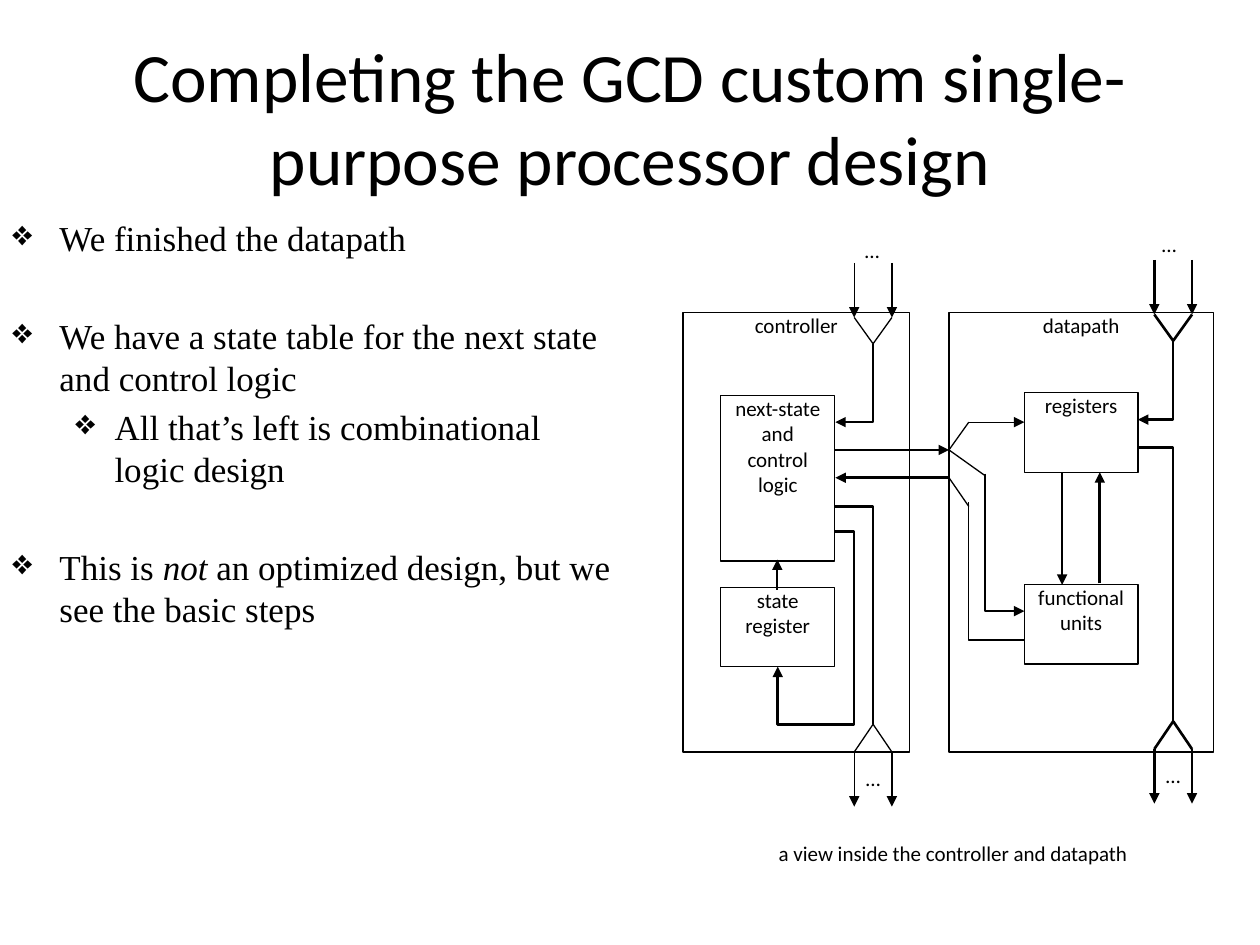
from dataclasses import dataclass

from lxml.etree import SubElement
from pptx import Presentation
from pptx.dml.color import RGBColor
from pptx.enum.shapes import MSO_CONNECTOR, MSO_SHAPE
from pptx.enum.text import MSO_ANCHOR, PP_ALIGN
from pptx.oxml.ns import qn
from pptx.util import Cm, Pt


@dataclass(frozen=True)
class Theme:
    ink: RGBColor = RGBColor(0, 0, 0)
    sans: str = "Calibri"
    serif: str = "Times New Roman"
    title: float = 39.6
    body: float = 20
    label: float = 12
    thin: float = 0.75
    medium: float = 1.25
    thick: float = 1.5


THEME = Theme()


def add_run(p, text, font, size, italic=False):
    r = p.add_run()
    r.text = text
    r.font.name = font
    r.font.size = Pt(size)
    r.font.italic = italic
    r.font.color.rgb = THEME.ink


def fill_label(sp, lines, size=THEME.label, anchor=MSO_ANCHOR.TOP, inset=0):
    tf = sp.text_frame
    tf.word_wrap = True
    tf.vertical_anchor = anchor
    tf.margin_left = tf.margin_right = Cm(inset)
    tf.margin_top = tf.margin_bottom = Cm(inset / 2)
    for i, line in enumerate(lines):
        p = tf.add_paragraph() if i else tf.paragraphs[0]
        p.alignment = PP_ALIGN.CENTER
        add_run(p, line, THEME.sans, size)


def add_label(s, box, text, **style):
    fill_label(s.shapes.add_textbox(*map(Cm, box)), [text], **style)


def add_box(s, box, *lines):
    sp = s.shapes.add_shape(MSO_SHAPE.RECTANGLE, *map(Cm, box))
    sp.shadow.inherit = False
    sp.fill.background()
    set_line(sp, THEME.thin)
    fill_label(sp, lines)


def set_line(sp, weight, arrow=False):
    sp.line.color.rgb = THEME.ink
    sp.line.width = Pt(weight)
    if arrow:
        ln = sp.line._get_or_add_ln()
        SubElement(ln, qn("a:tailEnd"), type="triangle")


def add_wire(s, points, weight=THEME.thick, arrow=False):
    points = [(Cm(x), Cm(y)) for x, y in points]
    if len(points) == 2:
        sp = s.shapes.add_connector(MSO_CONNECTOR.STRAIGHT, *points[0], *points[1])
        SubElement(sp._element.spPr, qn("a:effectLst"))
    else:
        builder = s.shapes.build_freeform(*points[0], scale=1.0)
        builder.add_line_segments(points[1:], close=False)
        sp = builder.convert_to_shape()
        sp.shadow.inherit = False
        sp.fill.background()
    set_line(sp, weight, arrow)


def add_ports(s, x, shift, weight):
    for side in (x - 0.38, x + 0.38):
        for start, end, arrow in (
            ((side, 5.3), (side, 6.4), True),
            ((side, 6.4), (x, 6.93), False),
            ((x, 14.6), (side, 15.16), False),
            ((side, 15.16), (side, 16.26), True),
        ):
            wire = [(px, py + shift) for px, py in (start, end)]
            add_wire(s, wire, weight, arrow)


def add_bullets(s, box, items):
    tf = s.shapes.add_textbox(*map(Cm, box)).text_frame
    tf.word_wrap = True
    for i, (level, gap, runs) in enumerate(items):
        p = tf.add_paragraph() if i else tf.paragraphs[0]
        p.level = level
        p.space_before = Pt(gap)
        margin, hang = ((0.95, 0.95), (2.06, 0.79))[level]
        pPr = p._p.get_or_add_pPr()
        pPr.set("marL", str(Cm(margin)))
        pPr.set("indent", str(-Cm(hang)))
        SubElement(pPr, qn("a:buChar"), char="❖")
        for text, italic in runs:
            add_run(p, text, THEME.serif, THEME.body, italic)


def add_controller(s):
    add_box(s, (13.77, 6.3, 4.57, 8.86), "controller")
    add_box(s, (14.53, 11.84, 2.3, 1.6), "state", "register")
    add_box(s, (14.53, 7.98, 2.3, 3.33), "next-state", "and", "control", "logic")
    add_ports(s, 17.6, 0, THEME.thin)
    add_wire(s, [(17.6, 6.93), (17.6, 8.51), (16.84, 8.51)], arrow=True)
    add_wire(s, [(16.84, 10.21), (17.6, 10.21), (17.6, 14.6)])
    add_wire(s, [(16.84, 10.72), (17.22, 10.72), (17.22, 14.6),
                 (15.68, 14.6), (15.68, 13.44)], arrow=True)
    add_wire(s, [(15.67, 11.89), (15.67, 11.28)], THEME.medium, True)


def add_datapath(s):
    add_box(s, (19.13, 6.3, 5.33, 8.86), "datapath")
    add_box(s, (20.65, 7.92, 2.29, 1.6), "registers")
    add_box(s, (20.65, 11.79, 2.29, 1.6), "functional", "units")
    add_ports(s, 23.65, -0.06, THEME.thick)
    add_wire(s, [(23.65, 6.88), (23.65, 8.46), (22.94, 8.46)], arrow=True)
    add_wire(s, [(22.94, 9.02), (23.65, 9.02), (23.65, 14.55)])
    add_wire(s, [(21.41, 9.54), (21.41, 11.79)], arrow=True)
    add_wire(s, [(22.17, 11.76), (22.17, 9.52)], arrow=True)


def add_control_signals(s):
    add_wire(s, [(16.84, 9.07), (19.13, 9.07)], arrow=True)
    add_wire(s, [(19.13, 9.63), (16.84, 9.63)], arrow=True)
    add_wire(s, [(19.13, 9.07), (19.53, 8.51)], THEME.thin)
    add_wire(s, [(19.53, 8.51), (20.65, 8.51)], THEME.thin, True)
    add_wire(s, [(19.13, 9.07), (19.86, 9.59)], THEME.thin)
    add_wire(s, [(19.86, 9.55), (19.86, 12.32), (20.65, 12.32)], arrow=True)
    add_wire(s, [(20.65, 12.9), (19.53, 12.9), (19.53, 10.13)], THEME.thin)
    add_wire(s, [(19.53, 10.21), (19.13, 9.63)], THEME.thin)


def main():
    prs = Presentation()
    prs.slide_width, prs.slide_height = Cm(25.4), Cm(19.05)
    s = prs.slides.add_slide(prs.slide_layouts[6])
    add_label(s, (1.27, 0.76, 22.86, 3.18),
              "Completing the GCD custom single-purpose processor design",
              size=THEME.title, anchor=MSO_ANCHOR.MIDDLE, inset=0.25)
    add_bullets(s, (0, 4.24, 12.62, 14.81), [
        (0, 4, [("We finished the datapath", False)]),
        (0, 32, [("We have a state table for the next state and control logic", False)]),
        (1, 4, [("All that’s left is combinational logic design", False)]),
        (0, 32, [("This is ", False), ("not", True),
                 (" an optimized design, but we see the basic steps", False)]),
    ])
    add_controller(s)
    add_datapath(s)
    add_control_signals(s)
    for x, y in ((17.2, 4.78), (23.19, 4.67), (17.22, 15.44), (23.27, 15.37)):
        add_label(s, (x, y, 0.76, 0.84), "…")
    add_label(s, (13.97, 16.94, 10.49, 1.27), "a view inside the controller and datapath")
    prs.save("out.pptx")


if __name__ == "__main__":
    main()
